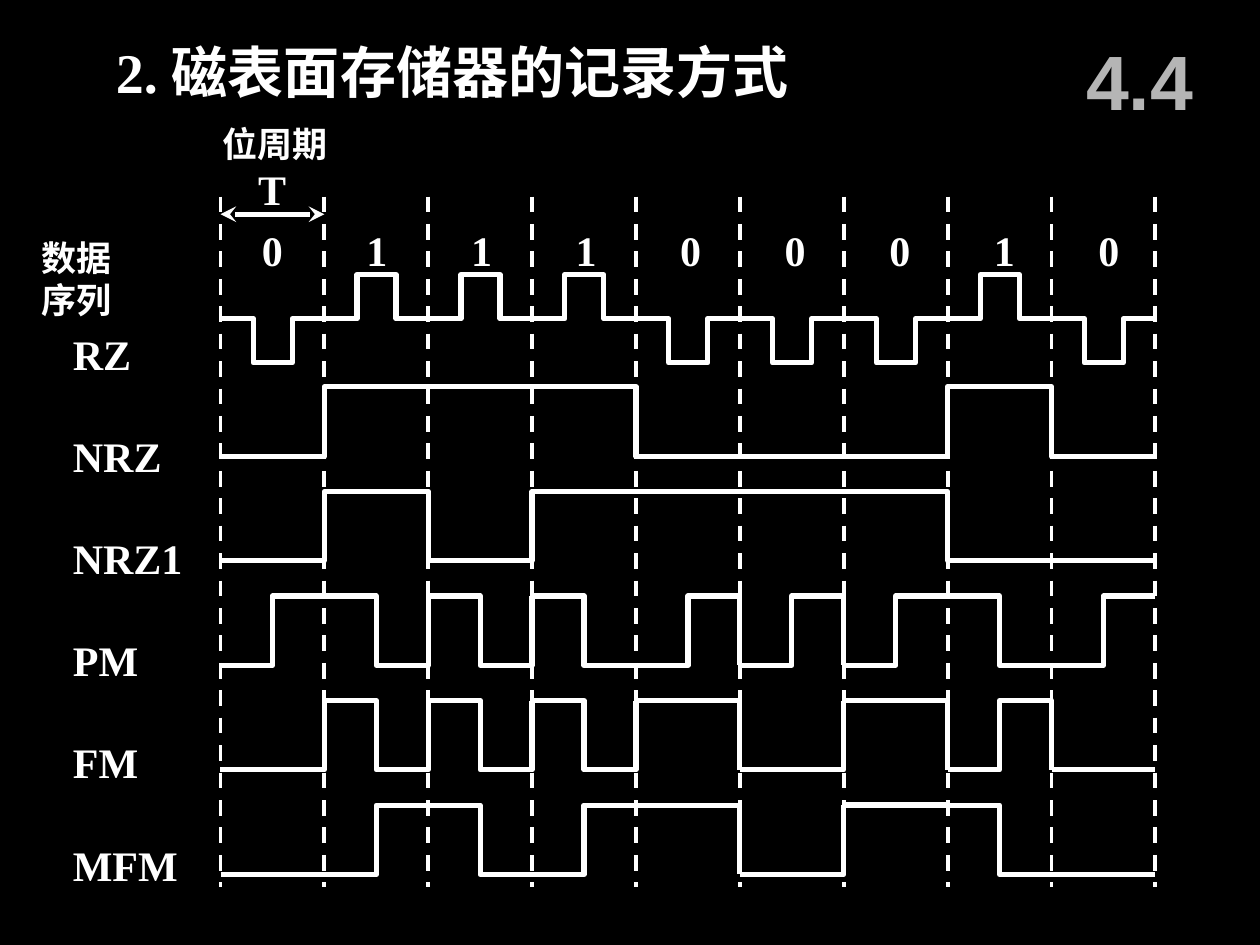
from dataclasses import dataclass
from itertools import pairwise

import lxml.etree
import pptx
import pptx.dml.color
import pptx.enum.dml
import pptx.enum.shapes
import pptx.enum.text
import pptx.oxml.ns
import pptx.util

Inches = pptx.util.Inches
Point = tuple[float, float]


@dataclass(frozen=True)
class Theme:
    background: str = "000000"
    ink: str = "FFFFFF"
    muted: str = "B5B5B5"
    serif: str = "Times New Roman"
    sans: str = "Arial"
    title_size: int = 32
    section_size: int = 44
    label_size: int = 24
    caption_size: int = 20
    wave_width: float = 3
    grid_width: float = 2.25


@dataclass(frozen=True)
class Label:
    text: str
    left: float
    top: float
    width: float
    height: float = 0.5
    size: int = Theme.label_size
    wrap: bool = False


@dataclass(frozen=True)
class Signal:
    name: str
    label_width: float
    halves: list[int]  # level in each half of a bit period
    bitwise: bool      # drawn as one outline per bit


THEME = Theme()
BITS = [0, 1, 1, 1, 0, 0, 0, 1, 0]
LEFT, RIGHT = 1.75, 9.17
PERIOD = (RIGHT - LEFT) / len(BITS)
GRID_TOP, GRID_BOTTOM = 1.56, 7.04
DIGIT_LEFT, DIGIT_PITCH = 1.98, 0.83
LABEL_LEFT, LABEL_TOP, LABEL_PITCH = 0.48, 2.56, 0.81
WAVE_TOP, WAVE_PITCH, WAVE_HEIGHT = 3.07, 0.83, 0.55
RZ_BASE, RZ_HEIGHT = 2.53, 0.35
RZ_RISE, RZ_FALL = 0.26, 0.57


def color(value: str) -> pptx.dml.color.RGBColor:
    return pptx.dml.color.RGBColor.from_string(value)


# Recording codes
def flipping(flips: list[bool]) -> list[int]:
    """Levels that start low and change wherever a flip is due."""
    level, levels = 0, []
    for flip in flips:
        level ^= int(flip)
        levels.append(level)
    return levels


def code_signals() -> list[Signal]:
    nrz, nrz1, pm, fm, mfm = [], [], [], [], []
    for index, bit in enumerate(BITS):
        one = bit == 1
        nrz += [bit, bit]
        nrz1 += [one, False]
        pm += [bit, 1 - bit]
        fm += [index > 0, one]
        mfm += [index > 0 and BITS[index - 1] == bit == 0, one]
    return [
        Signal("NRZ", 0.91, nrz, False),
        Signal("NRZ1", 1.07, flipping(nrz1), False),
        Signal("PM", 0.72, pm, True),
        Signal("FM", 0.72, flipping(fm), True),
        Signal("MFM", 1.03, flipping(mfm), True),
    ]


# Drawing
def add_text(frame, text: str, size: int, font: str, ink: str) -> None:
    run = frame.paragraphs[0].add_run()
    run.text = text
    run.font.size = pptx.util.Pt(size)
    run.font.name = font
    run.font.bold = True
    run.font.color.rgb = color(ink)


def place(shape, left: float, top: float, width: float, height: float) -> None:
    shape.left, shape.top = Inches(left), Inches(top)
    shape.width, shape.height = Inches(width), Inches(height)


def draw_label(slide, label: Label) -> None:
    box = slide.shapes.add_textbox(Inches(label.left), Inches(label.top),
                                   Inches(label.width), Inches(label.height))
    box.text_frame.word_wrap = label.wrap
    add_text(box.text_frame, label.text, label.size, THEME.serif, THEME.ink)


def draw_line(slide, start: Point, end: Point, width: float,
              dashed: bool = False, arrows: bool = False) -> None:
    line = slide.shapes.add_connector(
        pptx.enum.shapes.MSO_CONNECTOR.STRAIGHT,
        *(Inches(value) for value in start + end))
    line.line.color.rgb = color(THEME.ink)
    line.line.width = pptx.util.Pt(width)
    if dashed:
        line.line.dash_style = pptx.enum.dml.MSO_LINE.DASH
    properties = line._element.spPr
    if arrows:
        outline = properties.find(pptx.oxml.ns.qn("a:ln"))
        for end_tag in ("a:headEnd", "a:tailEnd"):
            lxml.etree.SubElement(outline, pptx.oxml.ns.qn(end_tag), type="stealth")
    lxml.etree.SubElement(properties, pptx.oxml.ns.qn("a:effectLst"))


def draw_wave(slide, points: list[Point]) -> None:
    if len(points) == 2:
        draw_line(slide, *points, THEME.wave_width)
        return
    corners = [(Inches(x), Inches(y)) for x, y in points]
    builder = slide.shapes.build_freeform(*corners[0], scale=1.0)
    builder.add_line_segments(corners[1:], close=False)
    wave = builder.convert_to_shape()
    wave.shadow.inherit = False
    wave.fill.background()
    wave.line.color.rgb = color(THEME.ink)
    wave.line.width = pptx.util.Pt(THEME.wave_width)


def wave_points(halves: list[int], first: int, last: int, top: float) -> list[Point]:
    """Corners from half-period first to last, with the edge that closes it."""
    def corner(half: int, level: int) -> Point:
        return LEFT + half * PERIOD / 2, top + (1 - level) * WAVE_HEIGHT

    levels = halves[first:last + 1]
    points = [corner(first, levels[0])]
    for half, (before, after) in enumerate(pairwise(levels), first + 1):
        if before != after:
            points += [corner(half, before), corner(half, after)]
    end = corner(last, levels[-1])
    return points if points[-1] == end else points + [end]


def draw_signal(slide, signal: Signal, top: float) -> None:
    total = len(signal.halves)
    step = 2 if signal.bitwise else total
    for first in range(0, total, step):
        draw_wave(slide, wave_points(signal.halves, first, first + step, top))


def draw_rz(slide) -> None:
    for index, bit in enumerate(BITS):
        start = LEFT + index * PERIOD
        peak = RZ_BASE + (-RZ_HEIGHT if bit else RZ_HEIGHT)
        rise, fall = start + RZ_RISE, start + RZ_FALL
        draw_wave(slide, [(start, RZ_BASE), (rise, RZ_BASE), (rise, peak),
                          (fall, peak), (fall, RZ_BASE), (start + PERIOD, RZ_BASE)])


def main() -> None:
    deck = pptx.Presentation()
    deck.slide_width, deck.slide_height = Inches(10), Inches(7.5)
    slide = deck.slides.add_slide(deck.slide_layouts[5])
    slide.background.fill.solid()
    slide.background.fill.fore_color.rgb = color(THEME.background)

    # Title and section number
    title = slide.shapes.title
    place(title, 0.82, 0.25, 5.55, 0.63)
    title.text_frame.word_wrap = True
    title.text_frame.auto_size = pptx.enum.text.MSO_AUTO_SIZE.NONE
    title.text_frame.vertical_anchor = pptx.enum.text.MSO_ANCHOR.TOP
    title.text_frame.paragraphs[0].alignment = pptx.enum.text.PP_ALIGN.LEFT
    add_text(title.text_frame, "2. 磁表面存储器的记录方式",
             THEME.title_size, THEME.serif, THEME.ink)
    section = slide.shapes.add_textbox(Inches(8.42), Inches(0.17), Inches(1.25), Inches(0.92))
    section.text_frame.word_wrap = True
    section.text_frame.vertical_anchor = pptx.enum.text.MSO_ANCHOR.MIDDLE
    section.text_frame.paragraphs[0].alignment = pptx.enum.text.PP_ALIGN.CENTER
    add_text(section.text_frame, "4.4", THEME.section_size, THEME.sans, THEME.muted)

    # Bit boundaries
    for index in range(len(BITS) + 1):
        x = LEFT + index * PERIOD
        draw_line(slide, (x, GRID_TOP), (x, GRID_BOTTOM), THEME.grid_width, dashed=True)

    # Waveforms
    signals = code_signals()
    draw_rz(slide)
    for row, signal in enumerate(signals):
        draw_signal(slide, signal, WAVE_TOP + row * WAVE_PITCH)

    # Bit period, data sequence and signal names
    draw_line(slide, (LEFT, 1.7), (LEFT + PERIOD, 1.7), THEME.wave_width, arrows=True)
    labels = [
        Label("数据序列", 0.23, 1.83, 1.02, 0.43, THEME.caption_size, wrap=True),
        Label("T", 1.95, 1.25, 0.42),
        Label("位周期", 1.67, 0.92, 1.04, 0.43, THEME.caption_size),
    ]
    labels += [Label(str(bit), DIGIT_LEFT + index * DIGIT_PITCH, 1.73, 0.37)
               for index, bit in enumerate(BITS)]
    names = [("RZ", 0.66)] + [(signal.name, signal.label_width) for signal in signals]
    labels += [Label(name, LABEL_LEFT, LABEL_TOP + row * LABEL_PITCH, width)
               for row, (name, width) in enumerate(names)]
    for label in labels:
        draw_label(slide, label)

    deck.save("out.pptx")


if __name__ == "__main__":
    main()
